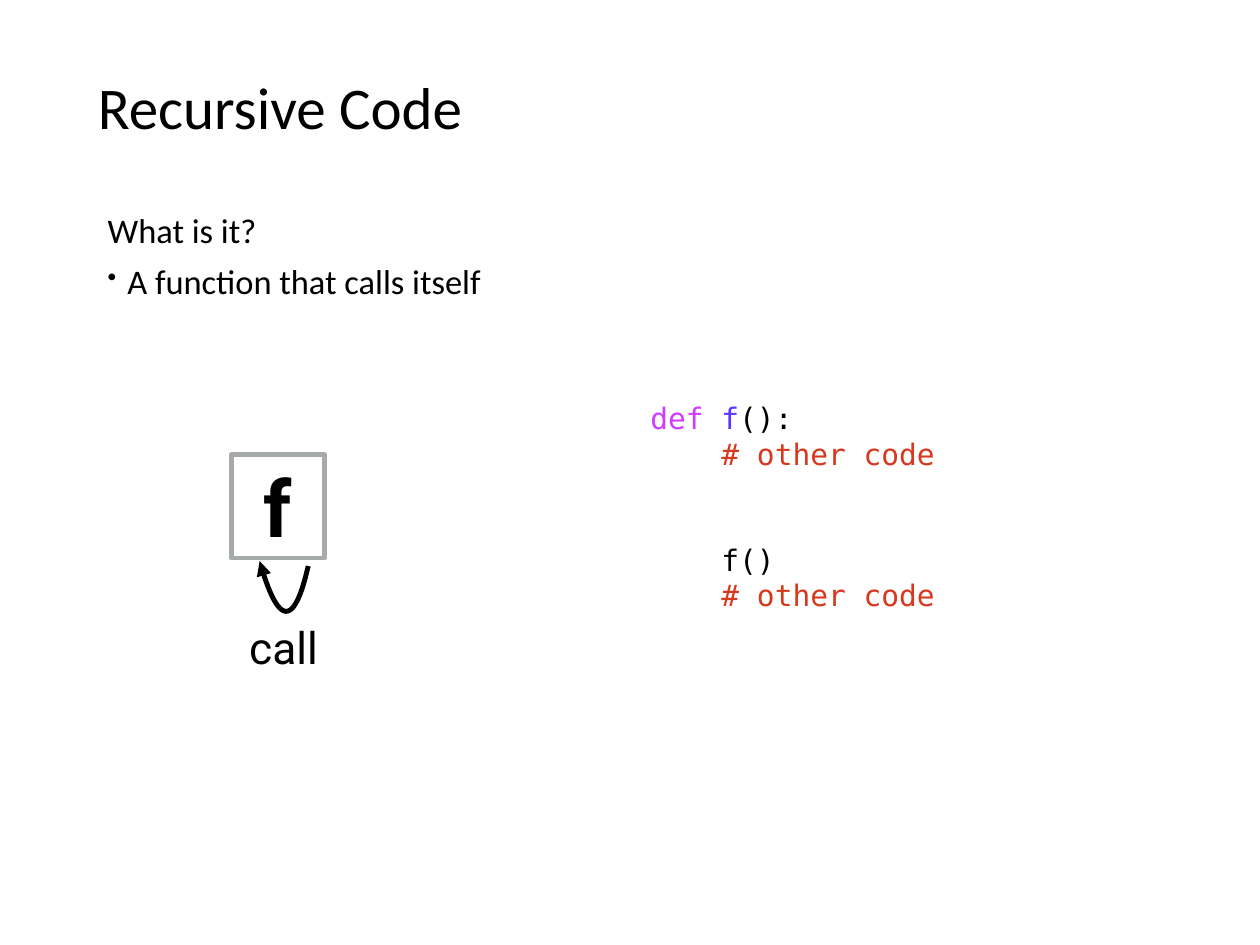
from lxml.etree import SubElement
from pptx import Presentation
from pptx.dml.color import RGBColor
from pptx.enum.shapes import MSO_SHAPE as Preset
from pptx.enum.text import MSO_ANCHOR as Anchor, PP_ALIGN as Align
from pptx.oxml.ns import qn
from pptx.util import Pt


def color(hex_string):
    return RGBColor.from_string(hex_string)


def add_text(paragraph, text, font="Calibri", size=28, fill="000000", bold=False):
    run = paragraph.add_run()
    run.text = text
    run.font.name = font
    run.font.size = Pt(size)
    run.font.bold = bold
    run.font.color.rgb = color(fill)


def set_bullet(paragraph, indent, hanging, character, percent):
    properties = paragraph._p.get_or_add_pPr()
    properties.set("marL", str(Pt(indent)))
    properties.set("indent", str(-Pt(hanging)))
    if character:
        SubElement(properties, qn("a:buSzPct")).set("val", str(percent * 1000))
        SubElement(properties, qn("a:buChar")).set("char", character)
    else:
        SubElement(properties, qn("a:buNone"))


def bezier(start, control_1, control_2, end, steps=32):
    """Return points evenly spaced in t along a cubic curve."""
    points = []
    for step in range(steps + 1):
        t = step / steps
        weights = ((1 - t) ** 3, 3 * t * (1 - t) ** 2, 3 * t * t * (1 - t), t ** 3)
        corners = (start, control_1, control_2, end)
        points.append(tuple(sum(w * corner[axis] for w, corner in zip(weights, corners))
                            for axis in (0, 1)))
    return points


class SlideBuilder:
    inset = 4.5
    stroke = 4
    label_font = "Roboto"
    code_font = "DejaVu Sans Mono"
    code_size = 24
    code_pitch = 28.8
    code_colors = {"keyword": "D03CFF", "name": "5E34FF",
                   "plain": "000000", "comment": "D7391E"}

    def __init__(self, slide):
        self.slide = slide

    def frame(self, shape, anchor=Anchor.MIDDLE, wrap=True):
        frame = shape.text_frame
        frame.word_wrap = wrap
        frame.vertical_anchor = anchor
        frame.margin_left = frame.margin_right = Pt(self.inset)
        frame.margin_top = frame.margin_bottom = Pt(self.inset)
        return frame

    def text_box(self, left, top, width, height, **layout):
        box = self.slide.shapes.add_textbox(Pt(left), Pt(top), Pt(width), Pt(height))
        return self.frame(box, **layout)

    def title(self, text, *bounds):
        add_text(self.text_box(*bounds).paragraphs[0], text, size=48)

    def body(self, heading, points, *bounds):
        frame = self.text_box(*bounds, anchor=Anchor.TOP)
        for index, text in enumerate([heading, *points]):
            paragraph = frame.add_paragraph() if index else frame.paragraphs[0]
            if index:
                paragraph.space_before = Pt(8)
            set_bullet(paragraph, 24, 16, "•" if index else None, 75)
            add_text(paragraph, text)

    def function_box(self, name, left, top, width, height):
        shape = self.slide.shapes.add_shape(
            Preset.RECTANGLE, Pt(left), Pt(top), Pt(width), Pt(height))
        shape.shadow.inherit = False
        shape.fill.background()
        shape.line.color.rgb = color("A6AAA9")
        shape.line.width = Pt(self.stroke)
        paragraph = self.frame(shape, wrap=False).paragraphs[0]
        paragraph.alignment = Align.CENTER
        add_text(paragraph, name, font=self.label_font, size=64, bold=True)

    def label(self, text, *bounds):
        paragraph = self.text_box(*bounds, wrap=False).paragraphs[0]
        paragraph.alignment = Align.CENTER
        add_text(paragraph, text, font=self.label_font, size=36)

    def curved_arrow(self, *corners):
        first, *rest = [(Pt(x), Pt(y)) for x, y in bezier(*corners)]
        builder = self.slide.shapes.build_freeform(*first)
        builder.add_line_segments(rest, close=False)
        shape = builder.convert_to_shape()
        shape.shadow.inherit = False
        shape.fill.background()
        shape.line.color.rgb = color("000000")
        shape.line.width = Pt(self.stroke)
        SubElement(shape.line._get_or_add_ln(), qn("a:tailEnd")).set("type", "triangle")

    def code(self, lines, *bounds):
        """Each line is (blank lines before it, [(text, kind), ...])."""
        frame = self.text_box(*bounds)
        for index, (gap, pieces) in enumerate(lines):
            paragraph = frame.add_paragraph() if index else frame.paragraphs[0]
            paragraph.line_spacing = Pt(self.code_pitch)
            if gap:
                paragraph.space_before = Pt(gap * self.code_pitch)
            for text, kind in pieces:
                add_text(paragraph, text, font=self.code_font, size=self.code_size,
                         fill=self.code_colors[kind])


def main():
    presentation = Presentation()
    presentation.slide_width = Pt(1024)
    presentation.slide_height = Pt(768)
    slide = presentation.slides.add_slide(presentation.slide_layouts[6])
    builder = SlideBuilder(slide)

    builder.title("Recursive Code", 75, 35, 874, 102)
    builder.body("What is it?", ["A function that calls itself"], 75, 165, 939, 109)

    builder.function_box("f", 188, 369.5, 76, 84)
    builder.curved_arrow((250.5, 460), (239, 510.5), (226, 509), (211, 456))
    builder.label("call", 198, 500, 65, 51)

    comment = [("    ", "plain"), ("# other code", "comment")]
    builder.code([
        (0, [("def ", "keyword"), ("f", "name"), ("():", "plain")]),
        (0, comment),
        (2, [("    f()", "plain")]),
        (0, comment),
    ], 524, 320.5, 402.5, 182)

    presentation.save("out.pptx")


if __name__ == "__main__":
    main()
